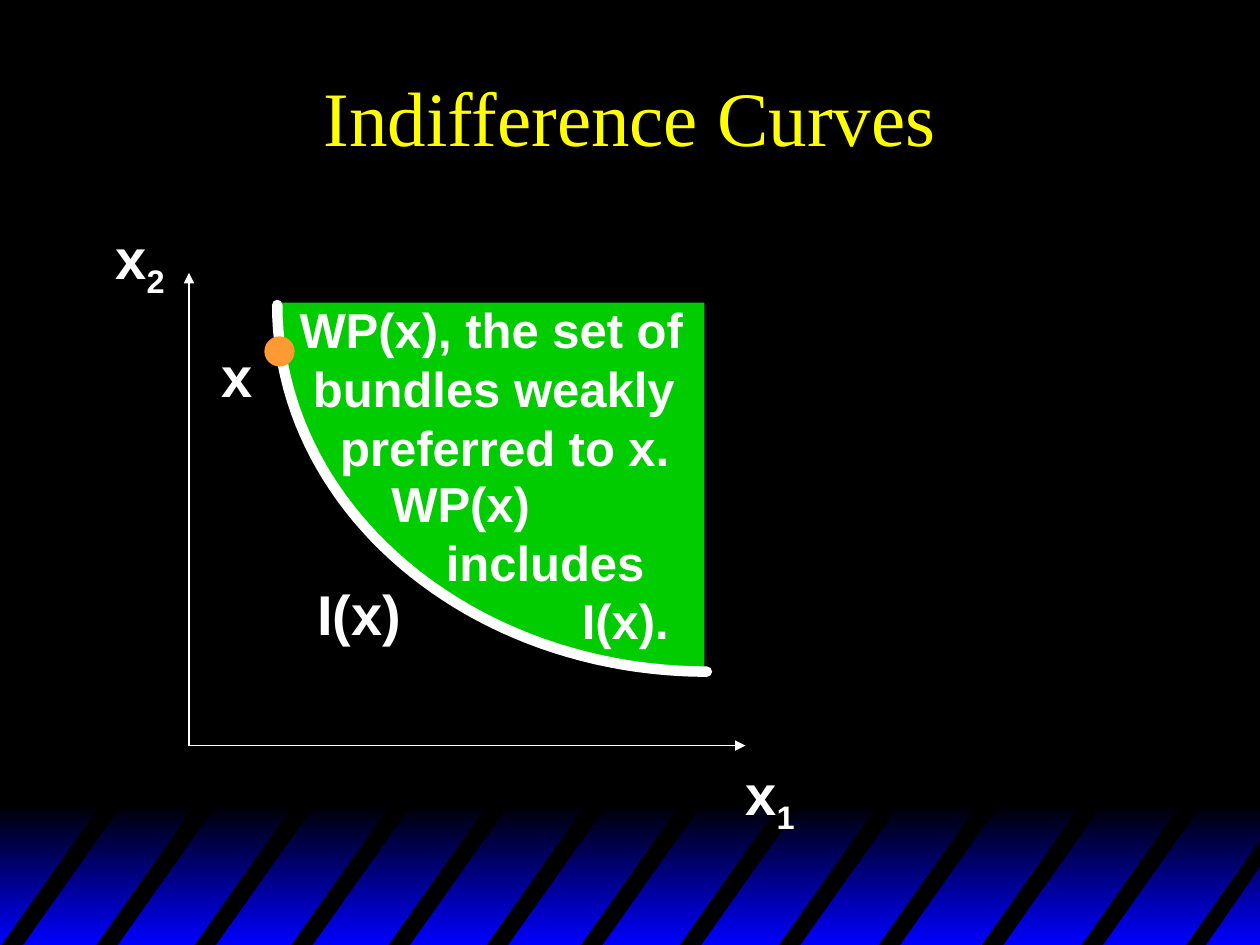
from math import cos, pi, sin

from lxml import etree
from pptx import Presentation
from pptx.dml.color import RGBColor
from pptx.enum.shapes import MSO_CONNECTOR, MSO_SHAPE
from pptx.enum.text import MSO_ANCHOR, PP_ALIGN
from pptx.oxml.ns import qn
from pptx.util import Cm, Pt

RECTANGLE, OVAL = MSO_SHAPE.RECTANGLE, MSO_SHAPE.OVAL
STRAIGHT = MSO_CONNECTOR.STRAIGHT
MIDDLE, TOP = MSO_ANCHOR.MIDDLE, MSO_ANCHOR.TOP
LEFT, CENTER = PP_ALIGN.LEFT, PP_ALIGN.CENTER

BLACK, WHITE, BLUE = "000000", "FFFFFF", "0000FF"
YELLOW, GREEN, ORANGE = "FFFF00", "00CC00", "FF9933"


def colour(code):
    return RGBColor.from_string(code)


class Painter:
    """Holds the text style and the slide being drawn; lengths are in cm."""

    font, ink, line_factor = "Arial", WHITE, 1.2

    def __init__(self, page):
        self.page = page

    def shape(self, kind, left, top, width, height, fill=None):
        item = self.page.shapes.add_shape(kind, Cm(left), Cm(top), Cm(width), Cm(height))
        item.shadow.inherit = False
        if fill:
            item.fill.solid()
            item.fill.fore_color.rgb = colour(fill)
        item.line.fill.background()
        return item

    def gradient(self, left, top, width, height, start, end):
        item = self.shape(RECTANGLE, left, top, width, height)
        item.fill.gradient()
        item.fill.gradient_angle = 270
        for stop, position, code in zip(item.fill.gradient_stops, (0, 1), (start, end)):
            stop.position = position
            stop.color.rgb = colour(code)

    def outline(self, points, closed=True):
        corners = [(Cm(x), Cm(y)) for x, y in points]
        builder = self.page.shapes.build_freeform(*corners[0], scale=1.0)
        builder.add_line_segments(corners[1:], close=closed)
        item = builder.convert_to_shape()
        item.shadow.inherit = False
        return item

    def polygon(self, points, fill):
        item = self.outline(points)
        item.fill.solid()
        item.fill.fore_color.rgb = colour(fill)
        item.line.fill.background()

    def curve(self, points, width):
        item = self.outline(points, closed=False)
        item.fill.background()
        item.line.width = Pt(width)
        item.line.color.rgb = colour(self.ink)
        item.line._get_or_add_ln().set("cap", "rnd")

    def arrow(self, start, end):
        ends = [Cm(value) for value in (*start, *end)]
        item = self.page.shapes.add_connector(STRAIGHT, *ends)
        item.line.width = Pt(1)
        item.line.color.rgb = colour(self.ink)
        etree.SubElement(item.line._get_or_add_ln(), qn("a:tailEnd"), type="triangle")
        etree.SubElement(item._element.spPr, qn("a:effectLst"))

    def text(self, left, top, width, height, lines, size, font=None, ink=None,
             bold=True, align=LEFT, anchor=TOP, wrap=True):
        """Each line is (indent, text, subscript)."""
        box = self.page.shapes.add_textbox(Cm(left), Cm(top), Cm(width), Cm(height))
        frame = box.text_frame
        frame.word_wrap = wrap
        frame.vertical_anchor = anchor
        for number, (indent, words, subscript) in enumerate(lines):
            para = frame.add_paragraph() if number else frame.paragraphs[0]
            para.alignment = align
            para.line_spacing = Pt(size * self.line_factor)
            para._p.get_or_add_pPr().set("marL", str(Cm(indent)))
            for part in filter(None, (words, subscript)):
                span = para.add_run()
                span.text = part
                span.font.size = Pt(size)
                span.font.bold = bold
                span.font.name = font or self.font
                span.font.color.rgb = colour(ink or self.ink)
                if part is subscript:
                    span.font._element.set("baseline", "-25000")


def main():
    deck = Presentation()
    deck.slide_width, deck.slide_height = Cm(25.4), Cm(19.05)
    page = deck.slides.add_slide(deck.slide_layouts[6])
    page.background.fill.solid()
    page.background.fill.fore_color.rgb = colour(BLACK)
    painter = Painter(page)

    # Striped band along the foot, its last stripe cut by the edge
    painter.gradient(0, 16.2, 25.45, 2.85, BLACK, BLUE)
    top, foot, slant, thick = 16.1, 19.1, 2.12, 0.43
    for x in (0, 1.91, 3.89, 5.84, 7.8, 9.78, 11.68, 13.67, 15.67, 17.68, 19.76, 21.77):
        painter.polygon([(x, foot), (x + slant, top), (x + slant + thick, top),
                         (x + thick, foot)], BLACK)
    painter.polygon([(23.88, foot), (25.45, 16.87), (25.45, 17.4), (24.28, foot)], BLACK)

    # Weakly preferred set
    painter.polygon([(5.61, 6.1), (5.74, 7.47), (6.1, 8.71), (7.04, 10.34), (7.9, 11.1),
                     (8.81, 11.89), (10.39, 12.78), (11.68, 13.23), (14.2, 13.59),
                     (14.2, 6.1)], GREEN)

    # Title
    painter.text(1.9, 0.64, 21.6, 3.38, [(0, "Indifference Curves", None)], 44,
                 "Times New Roman", YELLOW, False, CENTER, MIDDLE)

    # Axes and their names
    origin = (3.81, 15.03)
    painter.arrow(origin, (3.81, 5.5))
    painter.arrow(origin, (15.03, 15.03))
    painter.text(2.08, 4.57, 1.5, 1.8, [(0, "x", "2")], 32, wrap=False)
    painter.text(14.78, 15.37, 1.5, 1.8, [(0, "x", "1")], 32, wrap=False)

    # Indifference curve: a quarter of an ellipse
    steps = 48
    angles = [pi / 2 * step / steps for step in range(steps + 1)]
    painter.curve([(14.25 - 8.66 * cos(a), 6.15 + 7.39 * sin(a)) for a in angles], 6)

    # Bundle x
    painter.shape(OVAL, 5.33, 6.78, 0.61, 0.61, ORANGE)

    # Notes inside the set, indented to follow the curve
    painter.text(5.79, 5.92, 11.43, 3.81, [(0, "WP(x), the set of", None),
                                           (0.27, "bundles weakly", None),
                                           (0.82, "preferred to x.", None)], 28)
    painter.text(7.09, 9.42, 6.65, 3.81, [(0.55, "WP(x)", None),
                                          (1.65, "includes", None),
                                          (4.39, "I(x).", None)], 28)

    # Names of the bundle and the curve
    painter.text(4.22, 6.76, 1.83, 1.6, [(0, "x", None)], 32)
    painter.text(6.15, 11.56, 2.74, 1.6, [(0, "I(x)", None)], 32)

    deck.save("out.pptx")


if __name__ == "__main__":
    main()
